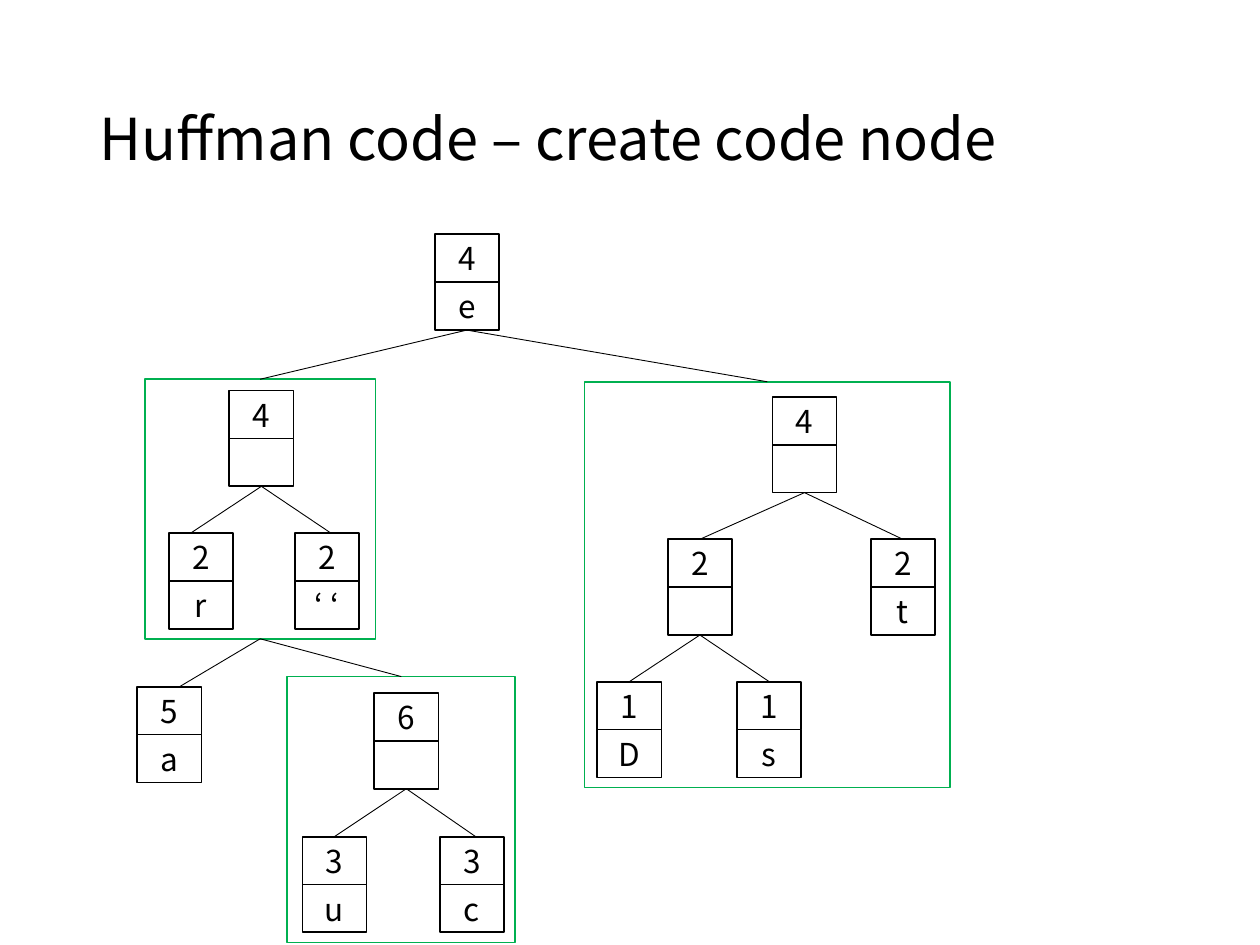
import pptx
import pptx.util
import pptx.dml.color
import pptx.enum.shapes
import pptx.enum.text
import pptx.oxml.ns
import lxml.etree
from dataclasses import dataclass
from pptx.util import Inches


@dataclass(frozen=True)
class Theme:
    font: str = "Noto Sans CJK KR"
    ink: str = "000000"
    paper: str = "FFFFFF"
    frame: str = "00B050"
    title_size: int = 33
    node_size: int = 18
    box_line: float = 1
    edge_line: float = 0.5


@dataclass(frozen=True)
class Box:
    left: float
    top: float
    width: float
    height: float

    @property
    def center(self):
        return self.left + self.width / 2

    @property
    def bottom(self):
        return self.top + self.height


class TreeSlide:
    """Draws a code tree of nodes, frames and edges on one slide."""

    cell_width = 0.51
    cell_height = 0.38

    def __init__(self, slide, theme):
        self.slide = slide
        self.theme = theme

    def color(self, value):
        return pptx.dml.color.RGBColor.from_string(value)

    def label(self, shape, text, size, alignment):
        text_frame = shape.text_frame
        text_frame.word_wrap = True
        text_frame.vertical_anchor = pptx.enum.text.MSO_ANCHOR.MIDDLE
        paragraph = text_frame.paragraphs[0]
        paragraph.text = text
        paragraph.alignment = alignment
        for run in paragraph.runs:
            run.font.size = pptx.util.Pt(size)
            run.font.name = self.theme.font
            run.font.color.rgb = self.color(self.theme.ink)
            east_asian = lxml.etree.SubElement(run.font._element, pptx.oxml.ns.qn("a:ea"))
            east_asian.set("typeface", self.theme.font)
        return paragraph

    def title(self, text, box):
        shape = self.slide.shapes.add_textbox(
            Inches(box.left), Inches(box.top), Inches(box.width), Inches(box.height))
        paragraph = self.label(
            shape, text, self.theme.title_size, pptx.enum.text.PP_ALIGN.LEFT)
        paragraph.line_spacing = 0.9

    def rectangle(self, box, line):
        shape = self.slide.shapes.add_shape(
            pptx.enum.shapes.MSO_SHAPE.RECTANGLE,
            Inches(box.left), Inches(box.top), Inches(box.width), Inches(box.height))
        shape.shadow.inherit = False
        shape.fill.background()
        shape.line.color.rgb = self.color(line)
        shape.line.width = pptx.util.Pt(self.theme.box_line)
        return shape

    def frame(self, left, top, width, height):
        box = Box(left, top, width, height)
        self.rectangle(box, self.theme.frame)
        return box

    def node(self, left, top, count, letter=""):
        for row, text in enumerate((count, letter)):
            cell = Box(left, top + row * self.cell_height, self.cell_width, self.cell_height)
            shape = self.rectangle(cell, self.theme.ink)
            shape.fill.solid()
            shape.fill.fore_color.rgb = self.color(self.theme.paper)
            if text:
                self.label(shape, text, self.theme.node_size, pptx.enum.text.PP_ALIGN.CENTER)
        return Box(left, top, self.cell_width, 2 * self.cell_height)

    def edge(self, parent, child, shift=0):
        connector = self.slide.shapes.add_connector(
            pptx.enum.shapes.MSO_CONNECTOR.STRAIGHT,
            Inches(parent.center), Inches(parent.bottom),
            Inches(child.center + shift), Inches(child.top))
        connector.line.color.rgb = self.color(self.theme.ink)
        connector.line.width = pptx.util.Pt(self.theme.edge_line)
        properties = connector._element.spPr
        lxml.etree.SubElement(properties, pptx.oxml.ns.qn("a:effectLst"))


presentation = pptx.Presentation()
presentation.slide_width = Inches(10)
presentation.slide_height = Inches(7.5)
tree = TreeSlide(presentation.slides.add_slide(presentation.slide_layouts[6]), Theme())

tree.title("Huffman code – create code node", Box(0.69, 0.4, 8.62, 1.45))

left_frame = tree.frame(1.15, 3.01, 1.83, 2.06)
right_frame = tree.frame(4.64, 3.03, 2.9, 3.22)
lower_frame = tree.frame(2.28, 5.37, 1.81, 2.11)

node_e = tree.node(3.45, 1.86, "4", "e")
node_a = tree.node(1.09, 5.45, "5", "a")

left_parent = tree.node(1.82, 3.1, "4")
node_r = tree.node(1.34, 4.23, "2", "r")
node_space = tree.node(2.34, 4.23, "2", "‘ ‘")

right_parent = tree.node(6.13, 3.15, "4")
inner_parent = tree.node(5.3, 4.28, "2")
node_t = tree.node(6.91, 4.28, "2", "t")
node_d = tree.node(4.74, 5.41, "1", "D")
node_s = tree.node(5.85, 5.41, "1", "s")

lower_parent = tree.node(2.97, 5.5, "6")
node_u = tree.node(2.4, 6.64, "3", "u")
node_c = tree.node(3.49, 6.64, "3", "c")

for parent, child, shift in (
    (node_e, left_frame, 0),
    (node_e, right_frame, 0),
    (left_frame, node_a, 0.08),
    (left_frame, lower_frame, 0),
    (left_parent, node_r, -0.08),
    (left_parent, node_space, 0.03),
    (right_parent, inner_parent, 0),
    (right_parent, node_t, 0),
    (inner_parent, node_d, 0),
    (inner_parent, node_s, 0),
    (lower_parent, node_u, 0),
    (lower_parent, node_c, 0.03),
):
    tree.edge(parent, child, shift)

presentation.save("out.pptx")
